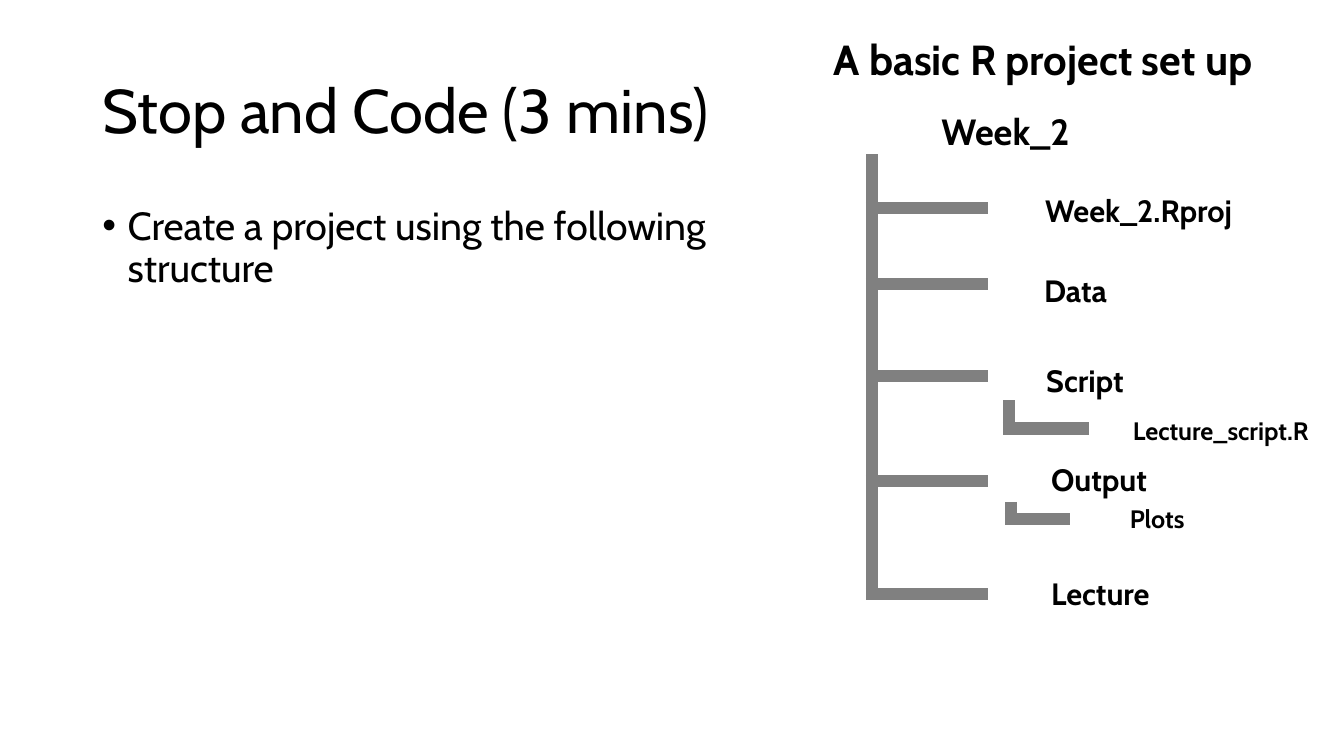
from dataclasses import dataclass

from lxml import etree
from pptx import Presentation
from pptx import util as u
from pptx.dml import color
from pptx.enum import shapes, text
from pptx.oxml import ns


@dataclass(frozen=True)
class Theme:
    font: str = "Cabin"
    ink: color.RGBColor = color.RGBColor(0x00, 0x00, 0x00)
    branch: color.RGBColor = color.RGBColor(0x80, 0x80, 0x80)
    branch_width: float = 8.75
    title: int = 44
    body: int = 28
    heading: int = 30
    root: int = 26
    folder: int = 22
    file: int = 18


theme = Theme()
presentation = Presentation()
presentation.slide_width = u.Inches(13.33)
presentation.slide_height = u.Inches(7.5)
column = presentation.slide_width / 40
row = presentation.slide_height / 30
slide = presentation.slides.add_slide(presentation.slide_layouts[1])


def write(shape, box, words, size, bold=False):
    left, top, width, height = box
    shape.left, shape.width = int(left * column), int(width * column)
    shape.top, shape.height = int(top * row), int(height * row)
    paragraph = shape.text_frame.paragraphs[0]
    paragraph.alignment = text.PP_ALIGN.LEFT
    run = paragraph.add_run()
    run.text = words
    run.font.name = theme.font
    run.font.size = u.Pt(size)
    run.font.bold = bold
    run.font.color.rgb = theme.ink
    return paragraph


def draw_branch(left, top, right, bottom):
    connector = slide.shapes.add_connector(
        shapes.MSO_CONNECTOR.STRAIGHT,
        int(left * column), int(top * row), int(right * column), int(bottom * row))
    connector.line.color.rgb = theme.branch
    connector.line.width = u.Pt(theme.branch_width)
    etree.SubElement(connector._element.spPr, ns.qn("a:effectLst"))


title = slide.shapes.title
title.text_frame.auto_size = text.MSO_AUTO_SIZE.NONE
title.text_frame.vertical_anchor = text.MSO_ANCHOR.MIDDLE
paragraph = write(title, (2.75, 1.6, 34.5, 5.8), "Stop and Code (3 mins)", theme.title)
paragraph.line_spacing = 0.9

body = slide.placeholders[1]
body.text_frame.auto_size = text.MSO_AUTO_SIZE.NONE
paragraph = write(body, (2.75, 8, 20.8, 19.04),
                  "Create a project using the following structure", theme.body)
properties = paragraph._p.get_or_add_pPr()
properties.set("marL", str(u.Inches(0.25)))
properties.set("indent", str(-u.Inches(0.25)))
etree.SubElement(properties, ns.qn("a:buFont")).set("typeface", "Arial")
etree.SubElement(properties, ns.qn("a:buChar")).set("char", "•")
paragraph.line_spacing = 0.9
paragraph.space_before = u.Pt(0)

half_column = u.Pt(theme.branch_width) / 2 / column
half_row = u.Pt(theme.branch_width) / 2 / row
trees = [
    (25.95, 6.12, 29.4, [8.24, 11.28, 14.92, 19.08, 23.56]),
    (30.03, 15.88, 32.4, [17]),
    (30.09, 19.92, 31.86, [20.6]),
]
for stem, top, right, arms in trees:
    draw_branch(stem, top, stem, arms[-1] + half_row)
    for arm in arms:
        draw_branch(stem - half_column, arm, right, arm)

labels = [
    ("A basic R project set up", theme.heading, 24.51, 1.12, 13.98),
    ("Week_2", theme.root, 27.72, 4.12, 4.5),
    ("Week_2.Rproj", theme.folder, 30.81, 7.4, 6.42),
    ("Data", theme.folder, 30.78, 10.6, 2.61),
    ("Script", theme.folder, 30.84, 14.16, 3.12),
    ("Lecture_script.R", theme.file, 33.42, 16.28, 6.3),
    ("Output", theme.folder, 30.99, 18.08, 3.57),
    ("Plots", theme.file, 33.33, 19.76, 2.37),
    ("Lecture", theme.folder, 30.99, 22.6, 3.84),
]
for words, size, left, top, width in labels:
    label = slide.shapes.add_textbox(0, 0, 0, 0)
    label.text_frame.word_wrap = False
    label.text_frame.auto_size = text.MSO_AUTO_SIZE.SHAPE_TO_FIT_TEXT
    write(label, (left, top, width, 0.07 * size + 0.34), words, size, bold=True)

presentation.save("out.pptx")
